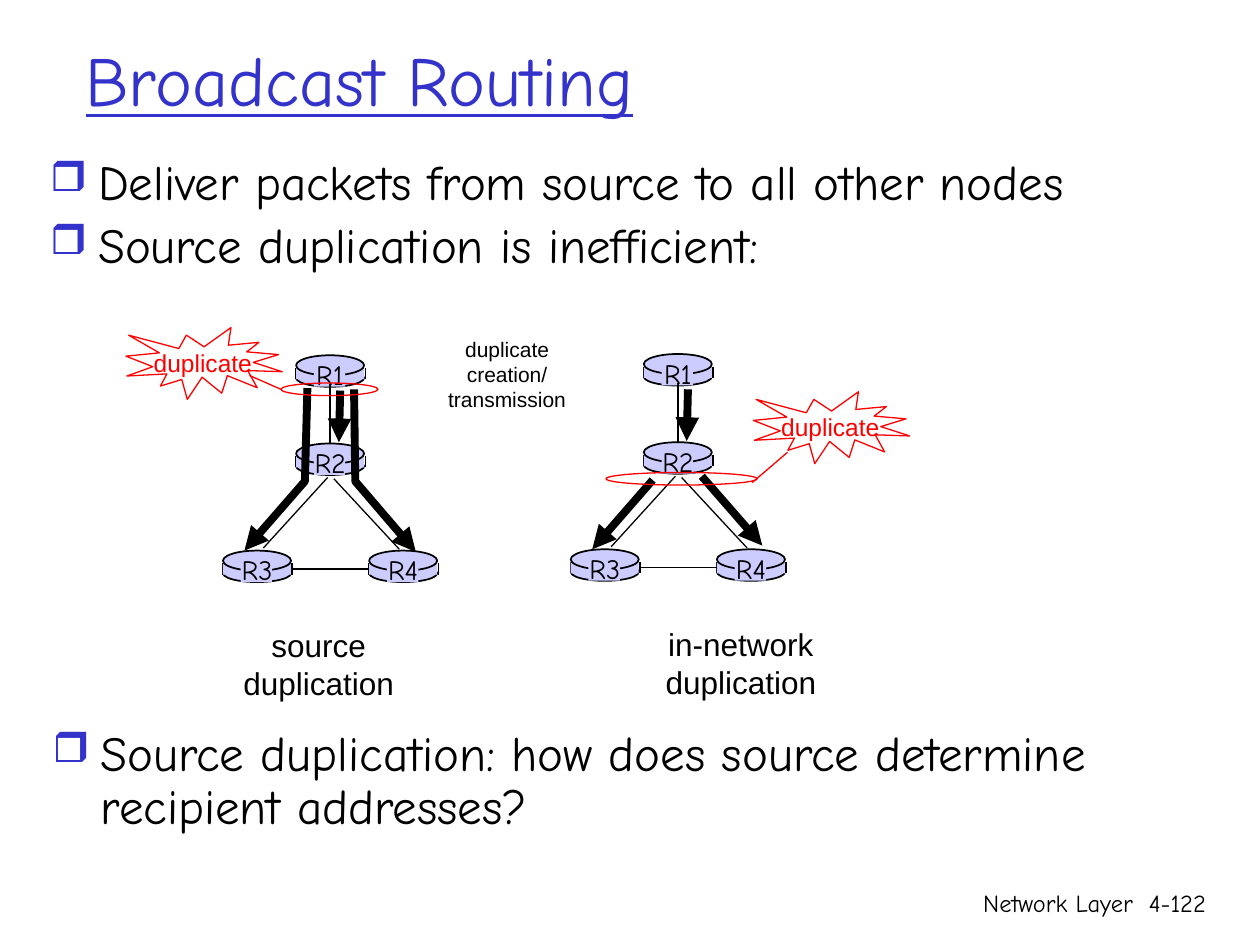
from lxml.etree import SubElement
from pptx import Presentation
from pptx.dml.color import RGBColor
from pptx.enum.shapes import MSO_CONNECTOR, MSO_SHAPE
from pptx.enum.text import MSO_ANCHOR, PP_ALIGN
from pptx.oxml.ns import qn
from pptx.util import Inches, Pt

COLORS = {"ink": "000000", "heading": "3333CC", "router": "CCCCFF", "alert": "FF0000"}
FORMATS = {
    "title": {"name": "Comic Neue", "size": Pt(40), "underline": True},
    "bullet": {"name": "Comic Neue", "size": Pt(28)},
    "router": {"name": "Comic Neue", "size": Pt(16)},
    "footer": {"name": "Comic Neue", "size": Pt(14)},
    "caption": {"name": "Arial", "size": Pt(18)},
    "callout": {"name": "Arial", "size": Pt(14)},
    "note": {"name": "Arial", "size": Pt(12)},
}
# Router positions inside a network box
ROUTERS = {"R1": (0.58, 0), "R2": (0.58, 0.7), "R3": (0, 1.55), "R4": (1.16, 1.55)}
LINKS = [
    ((0.85, 0.23), (0.85, 0.7)),
    ((0.83, 0.97), (0.32, 1.53)),
    ((0.88, 0.98), (1.4, 1.54)),
]
FIRST_HOP = [(0.93, 0.28), (0.92, 0.69)]
SOURCE_ROUTES = [
    FIRST_HOP,
    [(1.04, 0.27), (1.05, 1), (1.53, 1.56)],
    [(0.67, 0.26), (0.65, 1), (0.17, 1.55)],
]
IN_NETWORK_ROUTES = [
    FIRST_HOP,
    [(1.04, 0.97), (1.52, 1.52)],
    [(0.65, 1), (0.17, 1.55)],
]


def color(key):
    return RGBColor.from_string(COLORS[key])


def format_text(frame, style, ink, align):
    for paragraph in frame.paragraphs:
        paragraph.alignment = align
        for run in paragraph.runs:
            for attribute, value in FORMATS[style].items():
                setattr(run.font, attribute, value)
            run.font.color.rgb = color(ink)


def add_text(slide, text, box, style, ink="ink", align=PP_ALIGN.CENTER):
    frame = slide.shapes.add_textbox(*map(Inches, box)).text_frame
    frame.word_wrap = True
    if align == PP_ALIGN.CENTER:
        frame.margin_left = frame.margin_right = 0
    frame.text = text
    format_text(frame, style, ink, align)
    return frame


def add_figure(slide, preset, box, fill=None, line=None, width=1):
    figure = slide.shapes.add_shape(preset, *map(Inches, box))
    figure.shadow.inherit = False
    if fill:
        figure.fill.solid()
        figure.fill.fore_color.rgb = color(fill)
    else:
        figure.fill.background()
    if line:
        figure.line.color.rgb = color(line)
        figure.line.width = Pt(width)
    else:
        figure.line.fill.background()
    return figure


def add_line(slide, start, end, ink="ink", width=0.75):
    line = slide.shapes.add_connector(
        MSO_CONNECTOR.STRAIGHT, *map(Inches, (*start, *end)))
    line.line.color.rgb = color(ink)
    line.line.width = Pt(width)
    SubElement(line._element.spPr, qn("a:effectLst"))
    return line


def add_route(slide, points):
    """Thick arrow along two or more points."""
    if len(points) == 2:
        route = add_line(slide, *points, width=4.5)
    else:
        corners = [(Inches(x), Inches(y)) for x, y in points]
        builder = slide.shapes.build_freeform(*corners[0])
        builder.add_line_segments(corners[1:], close=False)
        route = builder.convert_to_shape()
        route.shadow.inherit = False
        route.fill.background()
        route.line.color.rgb = color("ink")
        route.line.width = Pt(4.5)
    SubElement(route.line._get_or_add_ln(), qn("a:tailEnd"), type="triangle")


def add_router(slide, name, left, top):
    """Labelled cylinder; gives back its body for links."""
    add_figure(slide, MSO_SHAPE.OVAL, (left, top + 0.11, 0.54, 0.14), "router", "ink")
    for x in (left, left + 0.55):
        add_line(slide, (x, top + 0.1), (x, top + 0.19), width=1)
    body = add_figure(slide, MSO_SHAPE.RECTANGLE, (left, top + 0.1, 0.54, 0.09), "router")
    add_figure(slide, MSO_SHAPE.OVAL, (left, top, 0.54, 0.16), "router", "ink")
    add_figure(slide, MSO_SHAPE.RECTANGLE, (left + 0.14, top + 0.02, 0.25, 0.23), "router")
    add_text(slide, name, (left + 0.03, top - 0.03, 0.48, 0.37), "router")
    return body


def add_network(slide, left, top, routes, caption, caption_left):
    def place(points):
        return [(left + x, top + y) for x, y in points]

    bodies = {name: add_router(slide, name, left + x, top + y)
              for name, (x, y) in ROUTERS.items()}
    for link in LINKS:
        add_line(slide, *place(link))
    bottom_link = add_line(slide, *place([(0.54, 1.69), (1.16, 1.69)]))
    bottom_link.begin_connect(bodies["R3"], 3)
    bottom_link.end_connect(bodies["R4"], 1)
    for route in routes:
        add_route(slide, place(route))
    add_text(slide, caption, (left + caption_left, top + 2.1, 1.4, 0.7), "caption")


def add_callout(slide, left, top, ring, tail):
    """Burst with its word, and a tail to the ring round the copies."""
    add_figure(slide, MSO_SHAPE.EXPLOSION1, (left, top, 1.24, 0.57),
               line="alert", width=0.75)
    add_text(slide, "duplicate", (left + 0.12, top + 0.11, 0.98, 0.33), "callout", "alert")
    add_figure(slide, MSO_SHAPE.OVAL, ring, line="alert", width=0.75)
    add_line(slide, *tail, ink="alert")


def add_bullets(slide, text, box):
    frame = add_text(slide, text, box, "bullet", align=PP_ALIGN.LEFT)
    for index, paragraph in enumerate(frame.paragraphs):
        paragraph.line_spacing = 0.9
        paragraph.space_before = Pt(5.6 if index else 0)
        properties = paragraph._p.get_or_add_pPr()
        properties.set("marL", str(Inches(0.38)))
        properties.set("indent", str(-Inches(0.38)))
        bullet_color = SubElement(properties, qn("a:buClr"))
        SubElement(bullet_color, qn("a:srgbClr"), val=COLORS["heading"])
        SubElement(properties, qn("a:buSzPct"), val="85000")
        SubElement(properties, qn("a:buChar"), char="❒")


def add_title(slide, text, box):
    title = slide.shapes.title
    title.left, title.top, title.width, title.height = map(Inches, box)
    title.text_frame.text = text
    title.text_frame.vertical_anchor = MSO_ANCHOR.MIDDLE
    format_text(title.text_frame, "title", "heading", PP_ALIGN.LEFT)


def add_footer(slide, top):
    for text, left, width in (("Network Layer", 5.92, 3.17), ("4-122", 8.93, 0.74)):
        add_text(slide, text, (left, top, width, 0.5), "footer", align=PP_ALIGN.RIGHT)


def main():
    deck = Presentation()
    deck.slide_width, deck.slide_height = Inches(10), Inches(7.5)
    slide = deck.slides.add_slide(deck.slide_layouts[5])

    # Title and bullets
    add_title(slide, "Broadcast Routing", (0.58, 0, 8.5, 1.25))
    add_bullets(slide, "Deliver packets from source to all other nodes\n"
                "Source duplication is inefficient:", (0.3, 1.21, 9.38, 1.06))
    add_bullets(slide, "Source duplication: how does source determine "
                "recipient addresses?", (0.32, 5.74, 8.88, 1.06))

    # Networks
    add_network(slide, 1.77, 2.82, SOURCE_ROUTES, "source\nduplication", 0.06)
    add_network(slide, 4.53, 2.81, IN_NETWORK_ROUTES, "in-network\nduplication", 0.65)

    # Callouts and note
    add_callout(slide, 1, 2.6, (2.23, 3.04, 0.77, 0.1), ((2.23, 3.09), (1.98, 2.98)))
    add_callout(slide, 5.98, 3.11, (4.81, 3.75, 1.2, 0.1), ((6.25, 3.59), (5.97, 3.83)))
    add_text(slide, "duplicate\ncreation/\ntransmission", (3.14, 2.62, 1.77, 0.7), "note")

    add_footer(slide, 7)
    deck.save("out.pptx")


if __name__ == "__main__":
    main()
